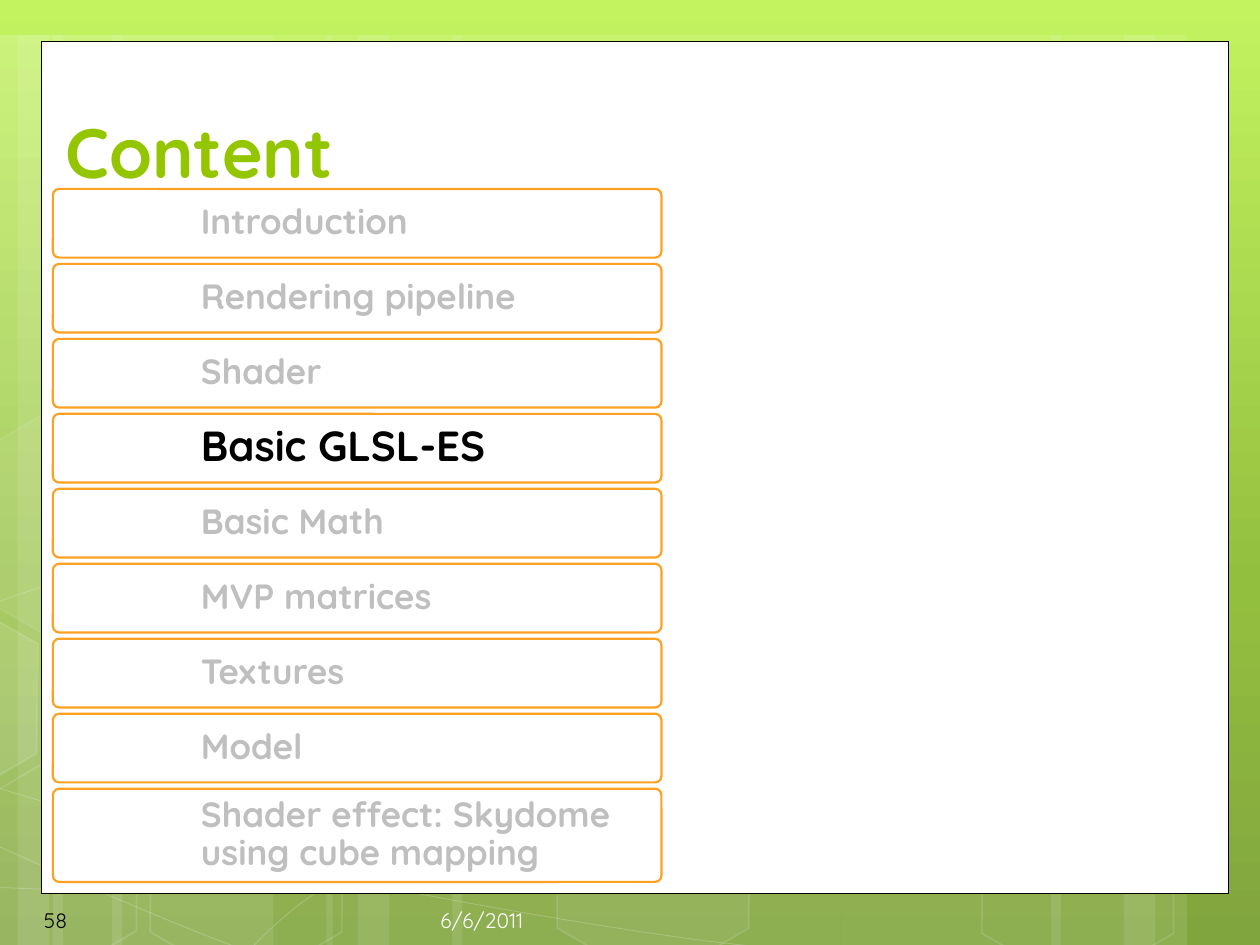
from dataclasses import dataclass

from lxml import etree
from pptx import Presentation
from pptx.dml.color import RGBColor
from pptx.enum.shapes import MSO_SHAPE
from pptx.enum.text import MSO_ANCHOR, PP_ALIGN
from pptx.oxml.ns import qn
from pptx.util import Inches, Pt

RECTANGLE, ROUNDED, HEXAGON = (
    MSO_SHAPE.RECTANGLE, MSO_SHAPE.ROUNDED_RECTANGLE, MSO_SHAPE.HEXAGON)
MIDDLE, BOTTOM = MSO_ANCHOR.MIDDLE, MSO_ANCHOR.BOTTOM
LEFT, RIGHT = PP_ALIGN.LEFT, PP_ALIGN.RIGHT


@dataclass(frozen=True)
class Theme:
    font: str = "Quicksand"
    white: str = "FFFFFF"
    black: str = "000000"
    title: str = "94C600"
    date: str = "FEFEFE"
    border: str = "FEA022"
    muted: str = "BFBFBF"
    backdrop: tuple = ((0, "C3F35F"), (62, "93BF3F"), (100, "81A53E"))
    title_size: int = 40
    current_size: int = 24
    topic_size: int = 20
    footer_size: int = 12


THEME = Theme()
SLIDE_W, SLIDE_H = 10, 7.5
TOPICS = [
    "Introduction", "Rendering pipeline", "Shader", "Basic GLSL-ES",
    "Basic Math", "MVP matrices", "Textures", "Model",
    "Shader effect: Skydome using cube mapping",
]
CURRENT_TOPIC = "Basic GLSL-ES"

# Left edge and width of the pale vertical bands
BANDS = [
    (0.42, 1.75), (-0.33, 0.83), (0.89, 1.75), (-0.11, 0.5), (0.14, 0.83),
    (6.67, 1.75), (8.92, 0.5), (8.34, 0.83), (3.59, 3.08), (2.59, 0.5),
    (2.84, 0.83),
]
# Each curve is a start point, then control, control, end for every segment
CURVES = [
    [(-0.59, 7.01), (-0.05, 7.04), (0.49, 7.08), (1.24, 7.06),
     (1.99, 7.05), (2.92, 7.03), (3.92, 6.93), (4.92, 6.83), (6.34, 6.64),
     (7.26, 6.45), (8.17, 6.26), (9.11, 5.96), (9.41, 5.79)],
    [(-0.59, 5.05), (-0.3, 4.9), (-0.01, 4.74), (0.55, 4.6),
     (1.12, 4.45), (1.93, 4.23), (2.81, 4.15), (3.7, 4.08), (4.78, 4.08),
     (5.88, 4.15), (6.98, 4.23), (8.81, 4.54), (9.41, 4.62)],
    [(-0.6, 6.45), (0.61, 7), (1.81, 7.55), (2.68, 7.78)],
    [(-0.59, 6.06), (-0.28, 6.17), (0.04, 6.28), (0.62, 6.44),
     (1.2, 6.6), (2.07, 6.84), (2.9, 7.01), (3.74, 7.18), (4.79, 7.36),
     (5.62, 7.47), (6.45, 7.57), (7.34, 7.61), (7.87, 7.65),
     (8.39, 7.68), (8.53, 7.66), (8.79, 7.66), (9.05, 7.66),
     (9.23, 7.64), (9.41, 7.62)],
    [(1.76, 7.78), (1.94, 7.58), (2.12, 7.38), (2.36, 7.19),
     (2.6, 7.01), (2.94, 6.81), (3.22, 6.67), (3.5, 6.54), (3.67, 6.48),
     (4.03, 6.37), (4.4, 6.27), (5.07, 6.13), (5.42, 6.06),
     (5.78, 6), (5.83, 6), (6.14, 5.97), (6.45, 5.95), (6.94, 5.92),
     (7.28, 5.91), (7.63, 5.9), (8.2, 5.91), (8.87, 5.91),
     (9.05, 5.91), (9.22, 5.93), (9.4, 5.95)],
]
# Left, top, fill opacity and line opacity (percent)
HEXAGONS = [
    (4.31, 6.17, 6, 12), (-0.55, 6.19, None, 12), (-0.52, 3.4, 7, 8),
    (1.08, 6.2, None, 12), (7.68, 6.21, None, 12),
]
CUT_HEXAGON = [(-0.58, 4.73), (-0.47, 4.67), (0.3, 5.11), (0.29, 5.98),
               (-0.46, 6.42), (-0.58, 6.36)]


def rgb(value):
    return RGBColor.from_string(value)


def add_box(slide, kind, box):
    return slide.shapes.add_shape(kind, *(Inches(v) for v in box))


def paint(shape, fill=None, line=None, width=1, fill_alpha=100, line_alpha=100):
    """Set fill and line, each with an opacity in percent."""
    shape.shadow.inherit = False
    for part, color, alpha, route in (
            (shape.fill, fill, fill_alpha, "a:solidFill"),
            (shape.line.fill, line, line_alpha, "a:ln/a:solidFill")):
        if color is None:
            part.background()
            continue
        part.solid()
        part.fore_color.rgb = rgb(color)
        if alpha < 100:
            properties = shape.element.spPr
            for step in route.split("/"):
                properties = properties.find(qn(step))
            etree.SubElement(properties[0], qn("a:alpha"), val=str(alpha * 1000))
    if line:
        shape.line.width = Pt(width)


def write(shape, text, size, color, bold=False, align=LEFT, anchor=MIDDLE):
    frame = shape.text_frame
    frame.text = text
    frame.word_wrap = True
    frame.vertical_anchor = anchor
    paragraph = frame.paragraphs[0]
    paragraph.alignment = align
    font = paragraph.runs[0].font
    font.name, font.size, font.bold = THEME.font, Pt(size), bold
    font.color.rgb = rgb(color)


def add_outline(slide, points, close):
    corners = [(Inches(x), Inches(y)) for x, y in points]
    builder = slide.shapes.build_freeform(*corners[0])
    builder.add_line_segments(corners[1:], close=close)
    return builder.convert_to_shape()


def sample_curve(knots, steps=12):
    """Turn a chain of cubic Bézier segments into points."""
    points = [knots[0]]
    for first in range(0, len(knots) - 1, 3):
        segment = knots[first:first + 4]
        for step in range(1, steps + 1):
            t = step / steps
            weights = ((1 - t) ** 3, 3 * t * (1 - t) ** 2,
                       3 * t ** 2 * (1 - t), t ** 3)
            points.append(tuple(
                sum(w * knot[axis] for w, knot in zip(weights, segment))
                for axis in (0, 1)))
    return points


def fill_background(slide):
    fill = slide.background.fill
    fill.gradient()
    gradient = slide.element.find(".//" + qn("a:gradFill"))
    stops = gradient.find(qn("a:gsLst"))
    for stop in list(stops):
        stops.remove(stop)
    for position, color in THEME.backdrop:
        stop = etree.SubElement(stops, qn("a:gs"), pos=str(position * 1000))
        etree.SubElement(stop, qn("a:srgbClr"), val=color)
    gradient.find(qn("a:lin")).set("ang", str(90 * 60000))


def draw_backdrop(slide, top):
    for left, width in BANDS:
        band = add_box(slide, RECTANGLE, (left, top, width, SLIDE_H))
        paint(band, THEME.white, fill_alpha=10)
    for knots in CURVES:
        curve = add_outline(slide, sample_curve(knots), close=False)
        paint(curve, line=THEME.white, width=0.5, line_alpha=20)
    for left, top_edge, fill_alpha, line_alpha in HEXAGONS:
        hexagon = add_box(slide, HEXAGON, (left, top_edge, 1.75, 1.52))
        hexagon.rotation = 30
        hexagon.adjustments[0] = 0.285
        paint(hexagon, THEME.white if fill_alpha else None, THEME.white, 1,
              fill_alpha or 100, line_alpha)
    paint(add_outline(slide, CUT_HEXAGON, close=True),
          THEME.white, THEME.white, 1, 10, 12)


def place_title(slide, text, box):
    title = slide.shapes.title
    title.left, title.top, title.width, title.height = (Inches(v) for v in box)
    write(title, text, THEME.title_size, THEME.title, True, anchor=BOTTOM)
    title.element.getparent().append(title.element)  # in front of the panel


def draw_topics(slide, box, pitch=0.595, gap=0.05):
    left, top, width, height = box
    for row, topic in enumerate(TOPICS):
        row_top = row * pitch
        is_last = row == len(TOPICS) - 1
        row_height = height - row_top if is_last else pitch - gap
        card = add_box(slide, ROUNDED, (left, top + row_top, width, row_height))
        card.adjustments[0] = 0.05 / row_height
        paint(card, THEME.white, THEME.border, 1.25)
        current = topic == CURRENT_TOPIC
        write(card, topic, THEME.current_size if current else THEME.topic_size,
              THEME.black if current else THEME.muted, True)
        frame = card.text_frame
        frame.margin_left = Inches(1.16)
        frame.margin_right = frame.margin_top = frame.margin_bottom = Inches(0.04)
        frame.paragraphs[0].line_spacing = 0.9


def add_footer(slide, text, box, color, align=LEFT):
    footer = slide.shapes.add_textbox(*(Inches(v) for v in box))
    write(footer, text, THEME.footer_size, color, align=align)


def main():
    deck = Presentation()
    deck.slide_width, deck.slide_height = Inches(SLIDE_W), Inches(SLIDE_H)
    slide = deck.slides.add_slide(deck.slide_layouts[5])
    fill_background(slide)
    draw_backdrop(slide, top=0.28)
    panel = add_box(slide, RECTANGLE, (0.33, 0.33, 9.42, 6.76))
    paint(panel, THEME.white, THEME.black, 0.5)
    place_title(slide, "Content", (0.42, 0.33, 9.25, 1.25))
    add_footer(slide, "58", (0.25, 7.1, 1.46, 0.4), THEME.black)
    add_footer(slide, "6/6/2011", (1.92, 7.1, 2.33, 0.4), THEME.date, RIGHT)
    draw_topics(slide, (0.42, 1.5, 4.83, 5.5))
    deck.save("out.pptx")


if __name__ == "__main__":
    main()
